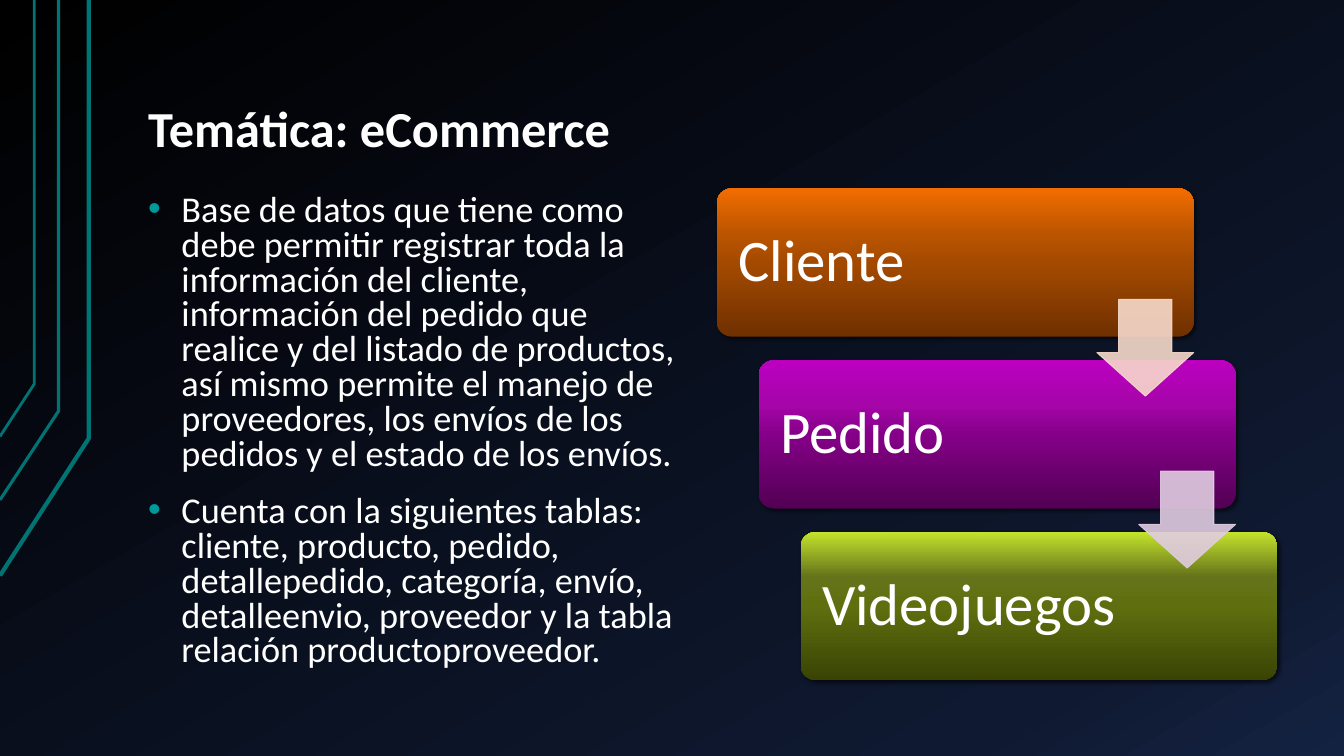
from dataclasses import dataclass

from lxml import etree
from pptx import Presentation
from pptx.dml.color import RGBColor
from pptx.enum import shapes, text
from pptx.oxml.ns import qn
from pptx.util import Inches, Pt

FONT = "Calibri"
COLORS = {
    "text": "FFFFFF",
    "bullet": "009999",
    "circuit": "007373",
    "shadow": "000000",
    "arrow_orange": "F7DACC",
    "arrow_purple": "E0CCE1",
}
GRADIENTS = {
    "night": {0: "000000", 85: "0F1931", 100: "142242"},
    "orange": {0: "703000", 50: "A44A00", 70: "BC5500", 100: "F26D00"},
    "purple": {0: "520054", 50: "850088", 70: "A505A9", 100: "BC00C0"},
    "green": {0: "394404", 50: "5F6F0F", 70: "65741A", 100: "C4E32D"},
}


@dataclass
class Circuit:
    """A bent line; its points are in hundredths of an inch."""
    points: list[tuple[int, int]]
    width: float


@dataclass
class Step:
    label: str
    gradient: str
    arrow: str | None = None


CIRCUITS = [
    Circuit([(0, 571), (88, 435), (88, 0)], 3),
    Circuit([(0, 496), (58, 408), (58, 0)], 2.25),
    Circuit([(0, 433), (34, 381), (34, 0)], 2),
]
STEPS = [
    Step("Cliente", "orange", "arrow_orange"),
    Step("Pedido", "purple", "arrow_purple"),
    Step("Videojuegos", "green"),
]
TITLE = "Temática: eCommerce"
BULLETS = [
    "Base de datos que tiene como debe permitir registrar toda la información del "
    "cliente, información del pedido que realice y del listado de productos, así mismo "
    "permite el manejo de proveedores, los envíos de los pedidos y el estado de los envíos.",
    "Cuenta con la siguientes tablas: cliente, producto, pedido, detallepedido, categoría, "
    "envío, detalleenvio, proveedor y la tabla relación productoproveedor.",
]
TEXT_LEFT = 1.34
STEP_LEFT, STEP_TOP, STEP_WIDTH, STEP_HEIGHT = 7.11, 1.87, 4.73, 1.47
SHIFT_X, SHIFT_Y = 0.415, 1.705
ARROW_SIZE = 0.96
ARROW_DROP = 1.1


def color(name: str) -> RGBColor:
    return RGBColor.from_string(COLORS[name])


def add_color(parent, value: str, alpha: int | None = None) -> None:
    tag = etree.SubElement(parent, qn("a:srgbClr"), val=value)
    if alpha is not None:
        etree.SubElement(tag, qn("a:alpha"), val=str(alpha * 1000))


def set_gradient(fill, element, name: str, angle: float) -> None:
    """Fill with a named gradient; the angle runs counter-clockwise."""
    fill.gradient()
    fill.gradient_angle = angle
    stops = element.find(".//" + qn("a:gsLst"))
    for stop in list(stops):
        stops.remove(stop)
    for position, value in GRADIENTS[name].items():
        stop = etree.SubElement(stops, qn("a:gs"), pos=str(position * 1000))
        add_color(stop, value)


def add_span(para, content: str, size: float, bold: bool = False) -> None:
    span = para.add_run()
    span.text = content
    span.font.name = FONT
    span.font.size = Pt(size)
    span.font.bold = bold
    span.font.color.rgb = color("text")


def set_frame(frame, anchor, side: float, edge: float) -> None:
    frame.word_wrap = True
    frame.vertical_anchor = anchor
    frame.margin_left = frame.margin_right = Inches(side)
    frame.margin_top = frame.margin_bottom = Inches(edge)


def add_bullet(para) -> None:
    properties = para._p.get_or_add_pPr()
    properties.set("marL", str(Inches(0.33)))
    properties.set("indent", str(-Inches(0.33)))
    add_color(etree.SubElement(properties, qn("a:buClr")), COLORS["bullet"])
    etree.SubElement(properties, qn("a:buFont"), typeface="Arial")
    etree.SubElement(properties, qn("a:buChar"), char="•")


def draw_circuit(page, circuit: Circuit) -> None:
    builder = page.shapes.build_freeform(*circuit.points[0], scale=Inches(0.01))
    builder.add_line_segments(circuit.points[1:], close=False)
    shape = builder.convert_to_shape()
    shape.shadow.inherit = False
    shape.fill.background()
    shape.line.color.rgb = color("circuit")
    shape.line.width = Pt(circuit.width)


def draw_title(page) -> None:
    box = page.shapes.add_textbox(Inches(TEXT_LEFT), Inches(0.3), Inches(11.33), Inches(1.34))
    set_frame(box.text_frame, text.MSO_ANCHOR.BOTTOM, 0.13, 0.07)
    para = box.text_frame.paragraphs[0]
    para.line_spacing = 0.9
    add_span(para, TITLE, 36, bold=True)


def draw_body(page) -> None:
    box = page.shapes.add_textbox(Inches(TEXT_LEFT), Inches(1.86), Inches(5.55), Inches(4.88))
    frame = box.text_frame
    set_frame(frame, text.MSO_ANCHOR.TOP, 0.13, 0.07)
    for index, content in enumerate(BULLETS):
        para = frame.add_paragraph() if index else frame.paragraphs[0]
        para.line_spacing = 0.8
        para.space_before = Pt(16)
        add_bullet(para)
        add_span(para, content, 25.9)


def add_shadow(shape) -> None:
    shape.shadow.inherit = False
    effects = shape._element.spPr.find(qn("a:effectLst"))
    shadow = etree.SubElement(
        effects, qn("a:outerShdw"), blurRad=str(Pt(3)), dist=str(Pt(2)),
        dir=str(45 * 60000), rotWithShape="0",
    )
    add_color(shadow, COLORS["shadow"], 60)


def draw_step(page, step: Step, index: int) -> None:
    box = page.shapes.add_shape(
        shapes.MSO_SHAPE.ROUNDED_RECTANGLE,
        Inches(STEP_LEFT + index * SHIFT_X), Inches(STEP_TOP + index * SHIFT_Y),
        Inches(STEP_WIDTH), Inches(STEP_HEIGHT),
    )
    box.adjustments[0] = 0.1
    set_gradient(box.fill, box._element, step.gradient, 90)
    box.line.fill.background()
    add_shadow(box)
    set_frame(box.text_frame, text.MSO_ANCHOR.MIDDLE, 0.17, 0.17)
    para = box.text_frame.paragraphs[0]
    para.alignment = text.PP_ALIGN.LEFT
    para.line_spacing = 0.9
    add_span(para, step.label, 42)


def draw_arrow(page, name: str, index: int) -> None:
    arrow = page.shapes.add_shape(
        shapes.MSO_SHAPE.DOWN_ARROW,
        Inches(STEP_LEFT + STEP_WIDTH - ARROW_SIZE + index * SHIFT_X),
        Inches(STEP_TOP + ARROW_DROP + index * SHIFT_Y),
        Inches(ARROW_SIZE), Inches(ARROW_SIZE),
    )
    arrow.adjustments[0] = 0.55
    arrow.adjustments[1] = 0.45
    arrow.shadow.inherit = False
    arrow.fill.solid()
    arrow.fill.fore_color.rgb = color(name)
    arrow.line.color.rgb = color(name)
    arrow.line.width = Pt(0.75)
    for tag in arrow._element.spPr.iter(qn("a:srgbClr")):
        etree.SubElement(tag, qn("a:alpha"), val="90000")


def main() -> None:
    deck = Presentation()
    deck.slide_width, deck.slide_height = Inches(13.33), Inches(7.5)
    page = deck.slides.add_slide(deck.slide_layouts[6])
    set_gradient(page.background.fill, page._element, "night", 300)
    for circuit in CIRCUITS:
        draw_circuit(page, circuit)
    draw_title(page)
    draw_body(page)
    for index, step in enumerate(STEPS):
        draw_step(page, step, index)
    for index, step in enumerate(STEPS):
        if step.arrow:
            draw_arrow(page, step.arrow, index)
    deck.save("out.pptx")


if __name__ == "__main__":
    main()
